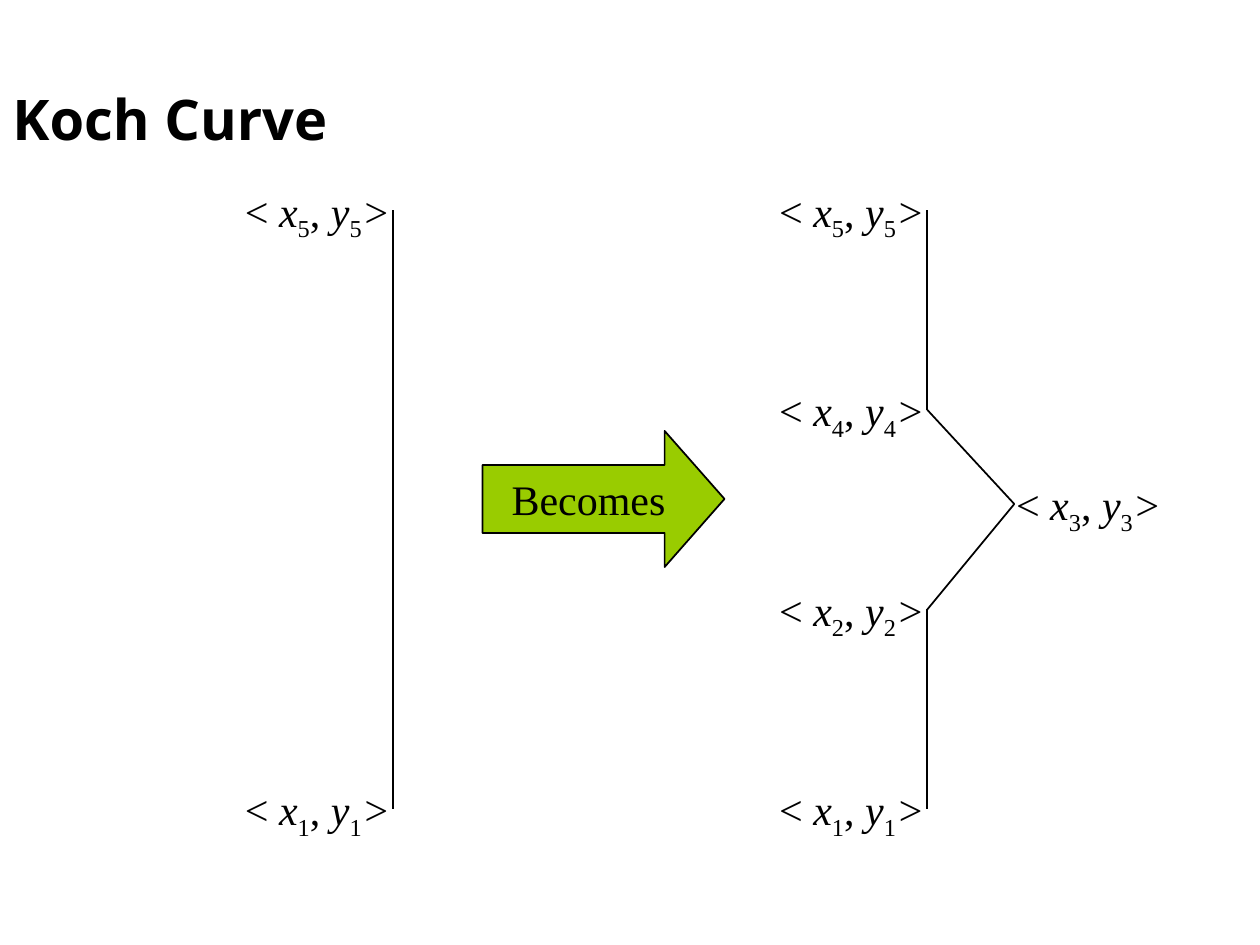
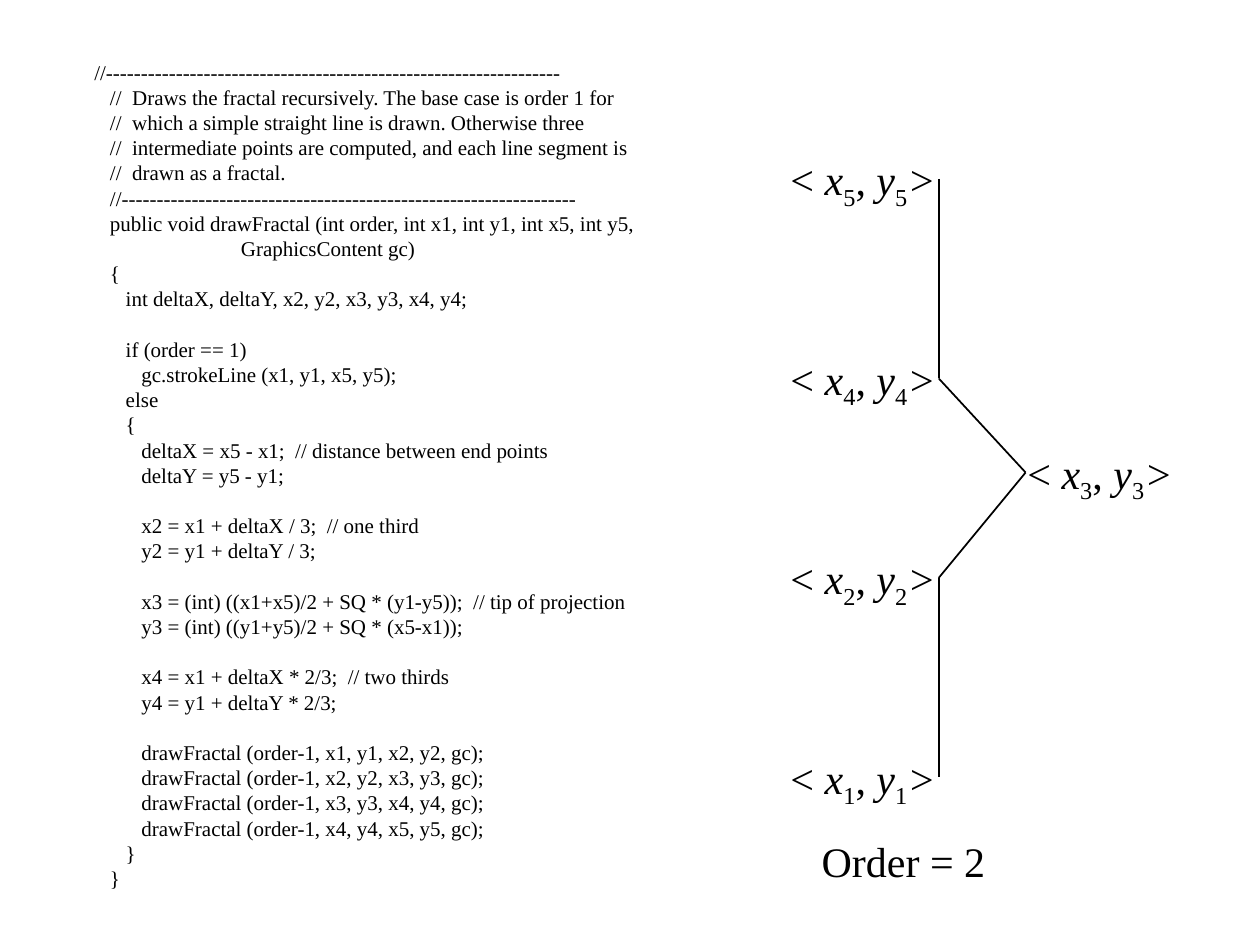
from lxml import etree
from pptx import Presentation
from pptx.dml.color import RGBColor
from pptx.enum.shapes import MSO_CONNECTOR, MSO_SHAPE
from pptx.enum.text import MSO_ANCHOR, MSO_AUTO_SIZE, PP_ALIGN
from pptx.oxml.ns import qn
from pptx.util import Inches, Pt

BLACK, GREEN = "000000", "99CC00"
TITLE_FONT, BODY_FONT = "Noto Sans", "Times New Roman"

DRAW_FRACTAL = [
    [
        "//-----------------------------------------------------------------",
        "   //  Draws the fractal recursively. The base case is order 1 for",
        "   //  which a simple straight line is drawn. Otherwise three",
        "   //  intermediate points are computed, and each line segment is",
        "   //  drawn as a fractal.",
        "   //-----------------------------------------------------------------",
        "   public void drawFractal (int order, int x1, int y1, int x5, int y5,",
        "                            GraphicsContent gc)",
        "   {",
        "      int deltaX, deltaY, x2, y2, x3, y3, x4, y4;",
    ],
    [
        "      if (order == 1)",
        "         gc.strokeLine (x1, y1, x5, y5);",
        "      else",
        "      {",
        "         deltaX = x5 - x1;  // distance between end points",
        "         deltaY = y5 - y1;",
    ],
    [
        "         x2 = x1 + deltaX / 3;  // one third",
        "         y2 = y1 + deltaY / 3;",
    ],
    [
        "         x3 = (int) ((x1+x5)/2 + SQ * (y1-y5));  // tip of projection",
        "         y3 = (int) ((y1+y5)/2 + SQ * (x5-x1));",
    ],
    [
        "         x4 = x1 + deltaX * 2/3;  // two thirds",
        "         y4 = y1 + deltaY * 2/3;",
    ],
    [
        "         drawFractal (order-1, x1, y1, x2, y2, gc);",
        "         drawFractal (order-1, x2, y2, x3, y3, gc);",
        "         drawFractal (order-1, x3, y3, x4, y4, gc);",
        "         drawFractal (order-1, x4, y4, x5, y5, gc);",
        "      }",
        "   }",
    ],
]


def color(hex_string):
    return RGBColor.from_string(hex_string)


class KochDeck:
    """Holds the style and the slide being drawn."""

    def __init__(self):
        self.deck = Presentation()
        self.deck.slide_width, self.deck.slide_height = Inches(10), Inches(7.5)
        self.shapes = None

    def new_slide(self):
        self.shapes = self.deck.slides.add_slide(self.deck.slide_layouts[6]).shapes

    def style(self, paragraph, size, font=BODY_FONT, bold=False, align=PP_ALIGN.LEFT):
        paragraph.alignment = align
        paragraph.font.size = Pt(size)
        paragraph.font.name = font
        paragraph.font.bold = bold
        paragraph.font.color.rgb = color(BLACK)

    def text_frame(self, left, top, width, height):
        """Adds a box that fits its text without wrapping."""
        box = self.shapes.add_textbox(Inches(left), Inches(top), Inches(width), Inches(height))
        frame = box.text_frame
        frame.word_wrap = False
        frame.auto_size = MSO_AUTO_SIZE.SHAPE_TO_FIT_TEXT
        return frame

    def title(self, text):
        frame = self.text_frame(0, 0, 9, 1.25)
        frame.auto_size = MSO_AUTO_SIZE.NONE
        frame.word_wrap = True
        frame.vertical_anchor = MSO_ANCHOR.BOTTOM
        frame.text = text
        self.style(frame.paragraphs[0], 32, TITLE_FONT, bold=True)

    def caption(self, text, left, top, width):
        frame = self.text_frame(left, top, width, 0.5)
        frame.text = text
        self.style(frame.paragraphs[0], 24, align=PP_ALIGN.CENTER)

    def code(self, sections, left, top, width, height):
        """Writes one paragraph per code line; spacing sets sections apart."""
        frame = self.text_frame(left, top, width, height)
        frame.text = "\n".join(line for section in sections for line in section)
        for paragraph in frame.paragraphs:
            self.style(paragraph, 12)
        row = 0
        for section in sections[:-1]:
            row += len(section)
            frame.paragraphs[row].space_before = Pt(14.4)

    def point_label(self, number, left, top):
        """Writes a coordinate pair with italic letters and lowered digits."""
        paragraph = self.text_frame(left, top, 1.38, 0.5).paragraphs[0]
        self.style(paragraph, 24, align=PP_ALIGN.CENTER)
        for part in ("< ", "x", number, ", ", "y", number, ">"):
            run = paragraph.add_run()
            run.text = str(part)
            run.font.italic = part in ("x", "y", ">")
            if part == number:
                run.font._element.set("baseline", "-25000")

    def line(self, start, end):
        segment = self.shapes.add_connector(
            MSO_CONNECTOR.STRAIGHT, *(Inches(value) for value in (*start, *end)))
        segment.line.color.rgb = color(BLACK)
        segment.line.width = Pt(1)
        etree.SubElement(segment._element.spPr, qn("a:effectLst"))

    def arrow(self, text, left, top, width, height):
        arrow = self.shapes.add_shape(
            MSO_SHAPE.RIGHT_ARROW, Inches(left), Inches(top), Inches(width), Inches(height))
        arrow.adjustments[1] = 0.44
        arrow.shadow.inherit = False
        arrow.fill.solid()
        arrow.fill.fore_color.rgb = color(GREEN)
        arrow.line.color.rgb = color(BLACK)
        arrow.line.width = Pt(1)
        frame = arrow.text_frame
        frame.word_wrap = False
        frame.vertical_anchor = MSO_ANCHOR.MIDDLE
        frame.text = text
        self.style(frame.paragraphs[0], 24, align=PP_ALIGN.CENTER)

    def curve(self, x, top, numbers):
        """Joins the numbered points of a curve whose base is at x."""
        third = 4.75 / 3
        offsets = {5: (0, 0), 4: (0, third), 3: (0.69, 2.33),
                   2: (0, 2 * third), 1: (0, 3 * third)}
        points = [(x + offsets[n][0], top + offsets[n][1]) for n in numbers]
        for start, end in zip(points, points[1:]):
            self.line(start, end)
        for number, (point_x, point_y) in zip(numbers, points):
            label_shift = -0.1 if number == 3 else -1.29
            self.point_label(number, point_x + label_shift, point_y - 0.25)


def main():
    koch = KochDeck()

    koch.new_slide()
    koch.title("Koch Curve")
    koch.curve(3.12, 1.67, (5, 1))
    koch.arrow("Becomes", 3.83, 3.42, 1.92, 1.08)
    koch.curve(7.36, 1.67, (5, 4, 3, 2, 1))

    koch.new_slide()
    koch.code(DRAW_FRACTAL, 0.65, 0.42, 4.55, 6.97)
    koch.curve(7.45, 1.42, (5, 4, 3, 2, 1))
    koch.caption("Order = 2", 6.42, 6.58, 1.5)

    koch.deck.save("out.pptx")


if __name__ == "__main__":
    main()
